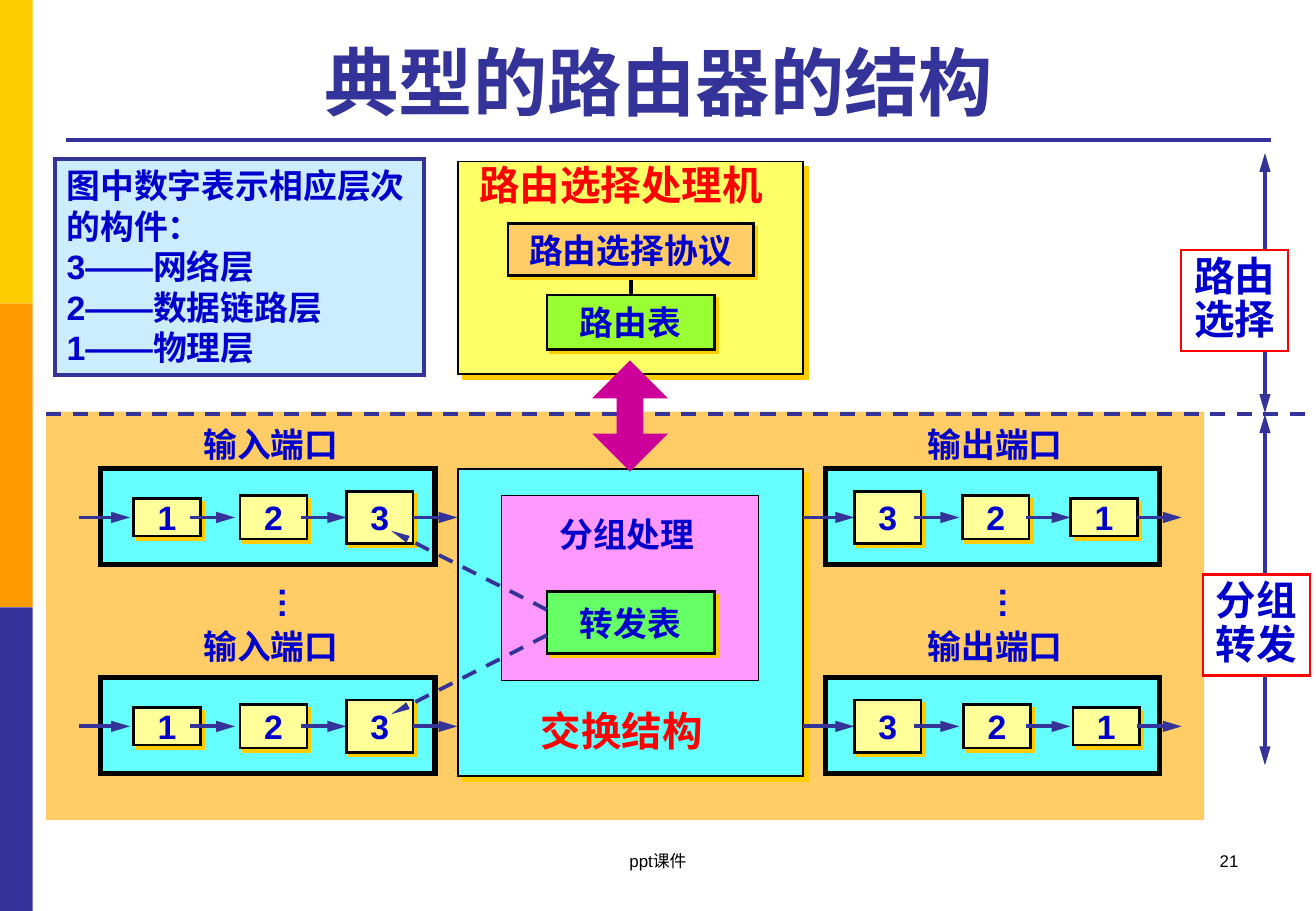
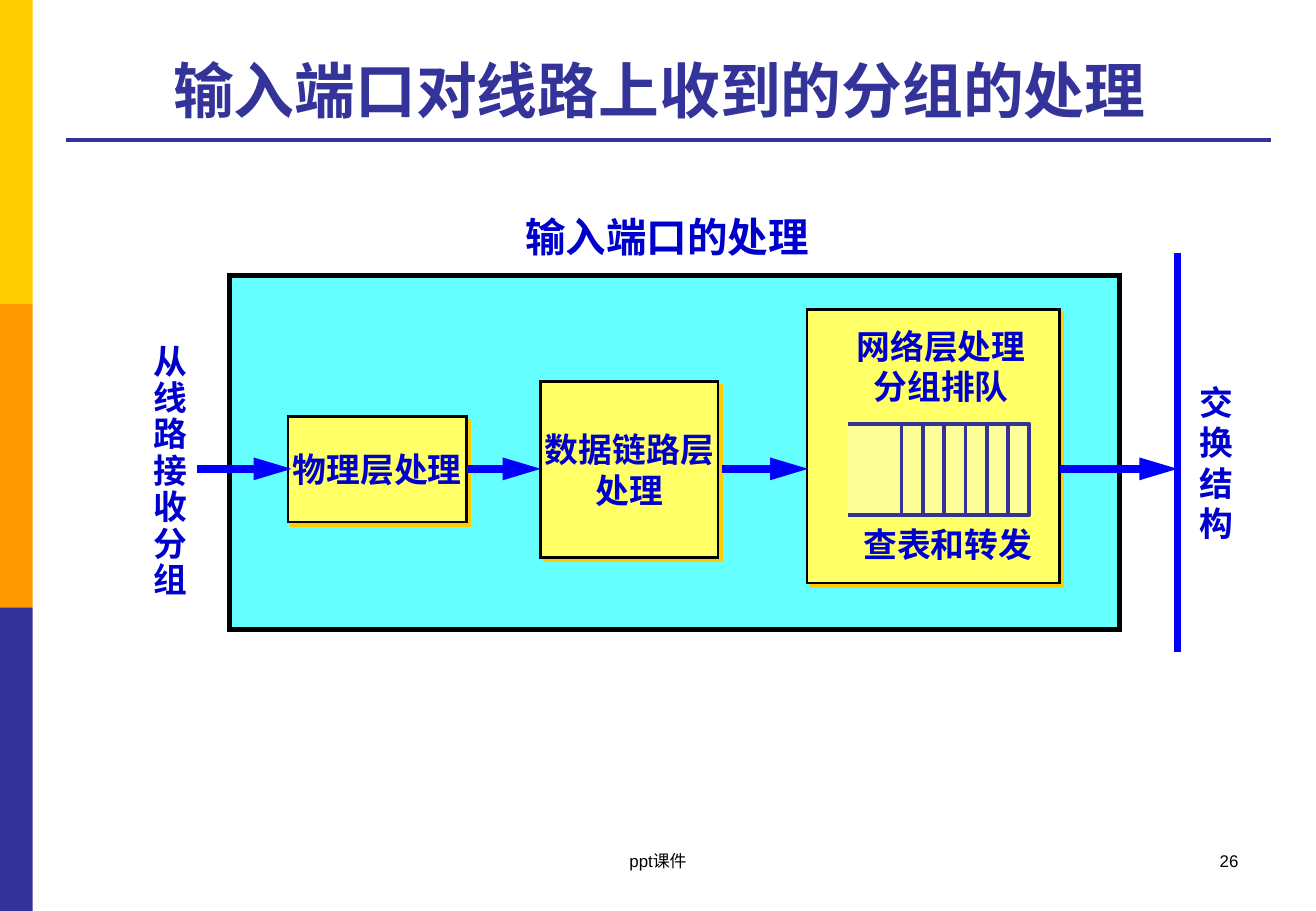
import lxml.etree
import pptx
import pptx.dml.color
import pptx.enum.dml
import pptx.enum.shapes
import pptx.enum.text
import pptx.oxml.ns
import pptx.util

Inches = pptx.util.Inches
Pt = pptx.util.Pt
Shapes = pptx.enum.shapes.MSO_SHAPE
Anchor = pptx.enum.text.MSO_ANCHOR
Align = pptx.enum.text.PP_ALIGN
qn = pptx.oxml.ns.qn

# Shared palette
NAVY, BLUE, TEXT_BLUE = "333399", "0000FF", "0000CC"
GOLD, ORANGE, SAND = "FFCC00", "FF9900", "FFCC66"
YELLOW, PALE_YELLOW, CYAN = "FFFF66", "FFFF99", "66FFFF"
RED, BLACK, WHITE = "FF0000", "000000", "FFFFFF"


def color(value):
    return pptx.dml.color.RGBColor.from_string(value)


def add_xml(parent, tag, **attributes):
    element = lxml.etree.SubElement(parent, qn(tag))
    for name, value in attributes.items():
        element.set(name, str(value))
    return element


def write_text(shape, text, size=20, ink=TEXT_BLUE, bold=True, align=Align.CENTER,
               anchor=Anchor.TOP, wrap=False, spacing=None):
    """Write one paragraph for each line of text."""
    frame = shape.text_frame
    frame.word_wrap = wrap
    frame.vertical_anchor = anchor
    for index, line in enumerate(text.split("\n")):
        paragraph = frame.add_paragraph() if index else frame.paragraphs[0]
        paragraph.alignment = align
        if spacing:
            paragraph.line_spacing = spacing
        run = paragraph.add_run()
        run.text = line
        run.font.name = "Arial"
        run.font.size = Pt(size)
        run.font.bold = bold
        run.font.color.rgb = color(ink)


class Deck:
    def __init__(self, width, height):
        self.presentation = pptx.Presentation()
        self.presentation.slide_width = Inches(width)
        self.presentation.slide_height = Inches(height)
        self.slide = None

    def new_slide(self, title, number, title_size):
        """Start a slide with its side bands, title, rule and footer."""
        layout = self.presentation.slide_layouts[6]
        self.slide = self.presentation.slides.add_slide(layout)
        for index, fill in enumerate((GOLD, ORANGE, NAVY)):
            self.box(0, 2.5 * index, 0.27, 2.5, fill)
        self.line(0.54, 1.15, 10.46, 1.15)
        self.text(0.47, 0.21, 9.91, 0.87, title, size=title_size, ink=NAVY,
                  anchor=Anchor.BOTTOM, wrap=True)
        footer = dict(size=10, ink=BLACK, bold=False, wrap=True)
        self.text(7.76, 6.95, 2.53, 0.5, str(number), align=Align.RIGHT, **footer)
        self.text(3.7, 6.95, 3.43, 0.5, "ppt课件", **footer)

    def text(self, left, top, width, height, text, rotation=0, **style):
        shape = self.slide.shapes.add_textbox(
            Inches(left), Inches(top), Inches(width), Inches(height))
        shape.rotation = rotation
        write_text(shape, text, **style)

    def paint(self, shape, fill, ink=None, weight=1.5):
        shape.shadow.inherit = False
        shape.fill.solid()
        shape.fill.fore_color.rgb = color(fill)
        if ink:
            shape.line.color.rgb = color(ink)
            shape.line.width = Pt(weight)
        else:
            shape.line.fill.background()

    def box(self, left, top, width, height, fill, ink=None, weight=1.5, shadow=0,
            text=None, kind=Shapes.RECTANGLE, adjustments=(), **style):
        shape = self.slide.shapes.add_shape(
            kind, Inches(left), Inches(top), Inches(width), Inches(height))
        self.paint(shape, fill, ink, weight)
        for index, value in enumerate(adjustments):
            shape.adjustments[index] = value
        properties = shape.element.spPr
        if ink:
            add_xml(properties.find(qn("a:ln")), "a:miter", lim=800000)
        if shadow:
            effect = add_xml(properties.find(qn("a:effectLst")), "a:outerShdw",
                             dist=int(Pt(shadow)), dir=45 * 60000, algn="ctr", rotWithShape=0)
            add_xml(effect, "a:srgbClr", val=GOLD)
        if text:
            write_text(shape, text, **style)

    def block(self, left, top, width, height, fill, text=None):
        """A component: thin black outline, gold shadow, centred text."""
        self.box(left, top, width, height, fill, BLACK, shadow=2.8, text=text,
                 anchor=Anchor.MIDDLE)

    def line(self, x1, y1, x2, y2, ink=NAVY, weight=2.25, dashed=False,
             head=False, tail=False, head_width="med"):
        connector = self.slide.shapes.add_connector(
            pptx.enum.shapes.MSO_CONNECTOR.STRAIGHT,
            Inches(x1), Inches(y1), Inches(x2), Inches(y2))
        connector.line.color.rgb = color(ink)
        connector.line.width = Pt(weight)
        if dashed:
            connector.line.dash_style = pptx.enum.dml.MSO_LINE.DASH
        properties = connector.element.spPr
        outline = properties.find(qn("a:ln"))
        for wanted, tag in ((head, "a:headEnd"), (tail, "a:tailEnd")):
            if wanted:
                add_xml(outline, tag, type="triangle", w=head_width, len="lg")
        add_xml(properties, "a:effectLst")

    def open_path(self, points, fill, ink, weight):
        corners = [(Inches(x), Inches(y)) for x, y in points]
        builder = self.slide.shapes.build_freeform(*corners[0])
        builder.add_line_segments(corners[1:], close=False)
        self.paint(builder.convert_to_shape(), fill, ink, weight)

    def port(self, frame_left, flow_left, middle, layers, first_box, box_step,
             label, label_top):
        """A port: frame, label, four flow arrows and three layer boxes."""
        self.box(frame_left, middle - 0.4, 2.75, 0.79, CYAN, BLACK, 3)
        self.text(frame_left + 0.74, label_top, 1.32, 0.44, label)
        heights = {1: 0.31, 2: 0.36, 3: 0.43}
        for index, layer in enumerate(layers):
            height = heights[layer]
            self.block(first_box + box_step * index, middle - height / 2,
                       0.55, height, PALE_YELLOW, str(layer))
        for index in range(4):
            start = flow_left + 0.915 * index
            length = 0.37 if index else 0.42
            self.line(start, middle, start + length, middle, tail=True)


def router_structure(deck):
    deck.new_slide("典型的路由器的结构", 21, 44)
    deck.box(0.38, 3.39, 9.53, 3.36, SAND)

    # Routing processor
    deck.box(3.77, 1.33, 2.84, 1.75, YELLOW, BLACK, 1, shadow=4.2)
    deck.text(3.83, 1.27, 2.56, 0.5, "路由选择处理机", size=24, ink=RED)
    deck.line(5.19, 2.16, 5.19, 2.42, BLACK)
    deck.block(4.18, 1.84, 2.02, 0.43, SAND, "路由选择协议")
    deck.block(4.5, 2.43, 1.38, 0.45, "99FF33", "路由表")

    # Ports and switching fabric
    rows = ((4.26, 3.44, 0.89), (5.98, 5.1, 0.9))
    for middle, label_top, _ in rows:
        deck.port(0.83, 0.65, middle, (1, 2, 3), 1.1, 0.875, "输入端口", label_top)
    deck.box(3.77, 3.86, 2.84, 2.53, CYAN, BLACK, 1, shadow=4.2)
    for middle, label_top, step in rows:
        deck.port(6.79, 6.61, middle, (3, 2, 1), 7.03, step, "输出端口", label_top)
    for left in (2.17, 8.1):
        deck.text(left, 4.75, 0.48, 0.44, "…", rotation=90)
    deck.text(4.34, 5.76, 1.55, 0.5, "交换结构", size=24, ink=RED)

    # Packet processing and forwarding table
    deck.box(4.13, 4.08, 2.11, 1.52, "FF99FF", BLACK, 0.75)
    deck.text(4.5, 4.18, 1.32, 0.44, "分组处理")
    deck.block(4.5, 4.87, 1.38, 0.51, "66FF66", "转发表")
    for start, end in ((5.02, 4.37), (5.23, 5.88)):
        deck.line(4.5, start, 3.22, end, dashed=True, tail=True, head_width="sm")

    # Division into routing and forwarding
    deck.line(0.38, 3.41, 10.82, 3.41, dashed=True)
    for top, bottom, left, label_top, label in (
            (1.26, 3.4, 9.72, 2.06, "路由\n选择"), (3.41, 6.3, 9.9, 4.73, "分组\n转发")):
        deck.line(10.41, top, 10.41, bottom, head=True, tail=True)
        deck.box(left, label_top, 0.88, 0.83, WHITE, text=label, size=24, ink=RED,
                 spacing=0.9)
    deck.box(4.91, 2.99, 0.55, 0.87, "CC0099", "CC0099", 2.25,
             kind=Shapes.UP_DOWN_ARROW, adjustments=(0.5, 0.342))

    # Legend
    deck.box(0.45, 1.31, 3.04, 1.78, "CCECFF", NAVY, 2.25, wrap=True, align=Align.LEFT,
             text="图中数字表示相应层次的构件：\n3——网络层\n2——数据链路层\n1——物理层")


def input_port_processing(deck):
    deck.new_slide("输入端口对线路上收到的分组的处理", 26, 36)

    # Port and its three stages
    deck.text(4.11, 1.7, 2.76, 0.5, "输入端口的处理", size=24)
    deck.box(1.89, 2.27, 7.32, 2.91, CYAN, BLACK, 3)
    deck.block(2.37, 3.43, 1.47, 0.87, YELLOW, "物理层处理")
    deck.block(4.45, 3.14, 1.46, 1.45, YELLOW, "数据链路层\n处理")
    deck.block(6.64, 2.55, 2.08, 2.25, YELLOW)
    deck.text(6.94, 2.63, 1.61, 0.77, "网络层处理\n分组排队")
    deck.text(7, 4.26, 1.6, 0.44, "查表和转发")

    # Packet flow
    for start, end in ((1.62, 2.4), (3.84, 4.45), (5.94, 6.65), (8.72, 9.69)):
        deck.line(start, 3.86, end, 3.86, BLUE, 4.5, tail=True)
    deck.line(9.69, 2.08, 9.69, 5.37, BLUE, 4.5)

    # Queue, open on the left
    top, bottom, first, right = 3.49, 4.24, 7.42, 8.47
    deck.open_path([(6.98, top), (right, top), (right, bottom), (6.98, bottom)],
                   PALE_YELLOW, NAVY, 2.25)
    for index in range(6):
        divider = first + (right - first) / 6 * index
        deck.line(divider, top, divider, bottom)

    # Vertical labels
    deck.text(1.16, 2.79, 0.48, 2.22, "\n".join("从线路接收分组"), spacing=0.9)
    deck.text(9.77, 3.09, 0.48, 1.45, "\n".join("交换结构"))


def main():
    deck = Deck(10.83, 7.5)
    router_structure(deck)
    input_port_processing(deck)
    deck.presentation.save("out.pptx")


if __name__ == "__main__":
    main()
